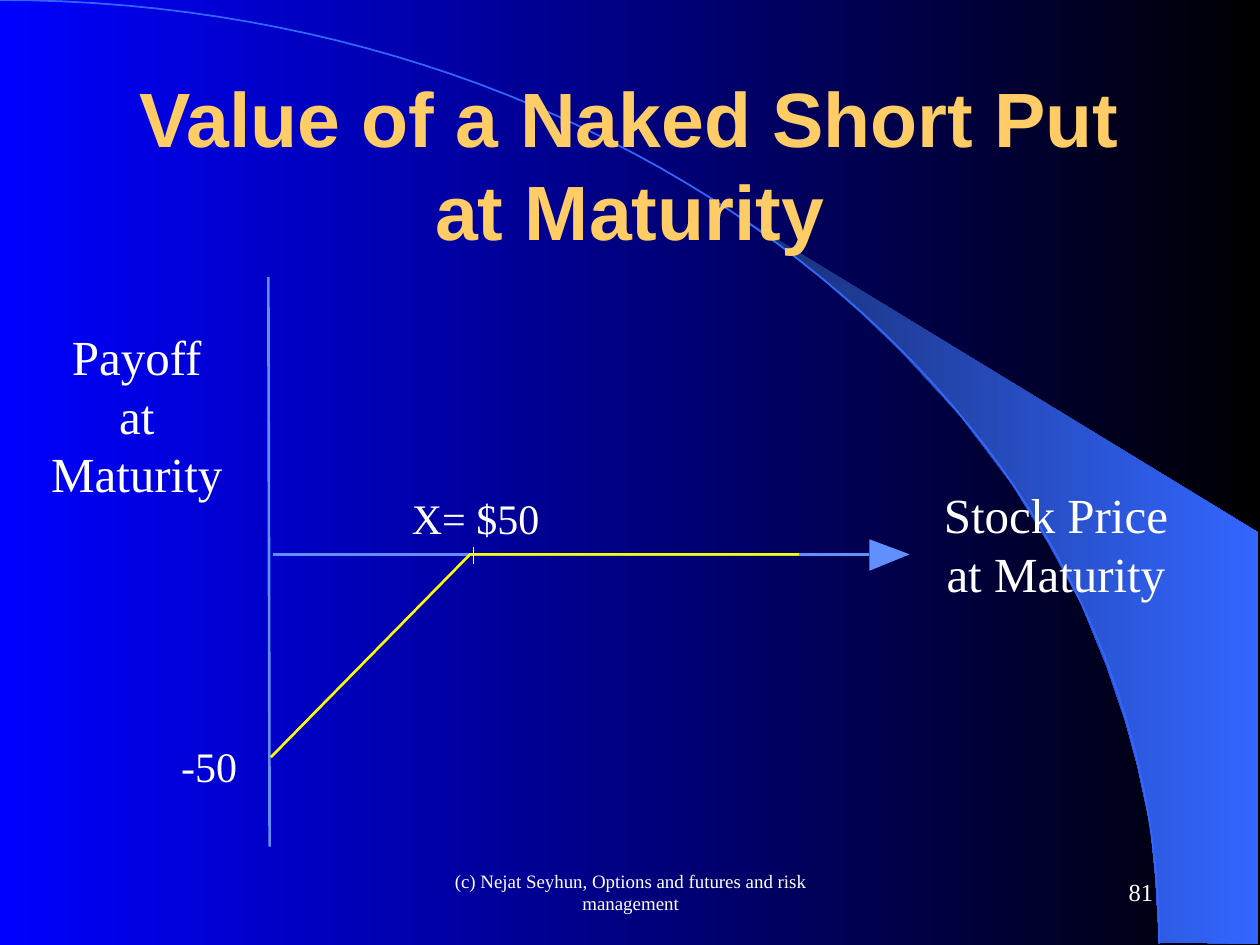
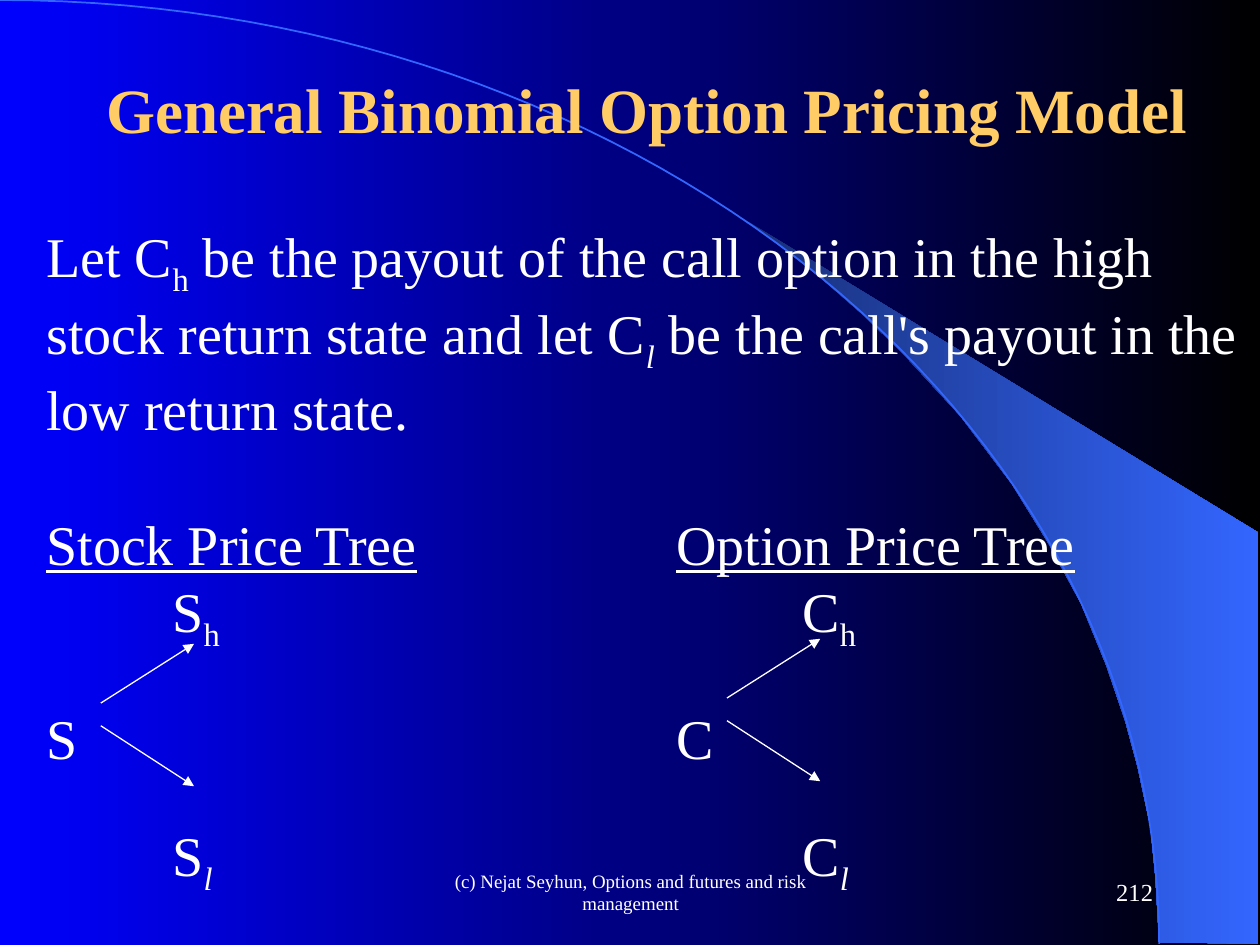
"""Build two option pricing slides: a short put payoff and a binomial tree."""
from lxml import etree
from pptx import Presentation
from pptx import util as u
from pptx.dml.color import RGBColor
from pptx.enum import shapes, text
from pptx.oxml import ns

WHITE, GOLD, YELLOW, AXIS, BAND = "FFFFFF", "FFCC66", "FAFD00", "618FFD", "3366FF"
SERIF, SANS = "Times New Roman", "Arial"
CENTER, RIGHT = text.PP_ALIGN.CENTER, text.PP_ALIGN.RIGHT
TOP, MIDDLE = text.MSO_ANCHOR.TOP, text.MSO_ANCHOR.MIDDLE
FOOTER = "(c) Nejat Seyhun, Options and futures and risk management"
rgb = RGBColor.from_string


def write(sp, box, content, size, color=WHITE, font=SERIF, bold=False,
          align=CENTER, anchor=TOP, wrap=True):
    """Place a text shape and fill it with evenly formatted paragraphs."""
    sp.left, sp.top, sp.width, sp.height = [u.Inches(v) for v in box]
    tf = sp.text_frame
    tf.text = content
    tf.word_wrap, tf.vertical_anchor = wrap, anchor
    tf.auto_size = text.MSO_AUTO_SIZE.NONE
    for p in tf.paragraphs:
        p.alignment = align
        for r in p.runs:
            r.font.size, r.font.name, r.font.bold = u.Pt(size), font, bold
            r.font.color.rgb = rgb(color)


def add_free(s, points, close=False):
    """Draw an outline through points given in inches."""
    pts = [(u.Inches(x), u.Inches(y)) for x, y in points]
    builder = s.shapes.build_freeform(*pts[0])
    builder.add_line_segments(pts[1:], close=close)
    sp = builder.convert_to_shape()
    sp.shadow.inherit = False
    sp.fill.background()
    sp.line.fill.background()
    return sp


prs = Presentation()
prs.slide_width, prs.slide_height = u.Inches(10), u.Inches(7.5)
layout = prs.slide_layouts[5]
payoff, tree = [prs.slides.add_slide(layout) for _ in range(2)]

swoosh = add_free(payoff, [
    (9.2, 7.48), (9.99, 7.49), (9.99, 4.23), (5.89, 1.73), (6.24, 1.99), (6.53, 2.22),
    (6.85, 2.5), (7.16, 2.8), (7.62, 3.3), (8.03, 3.84), (8.32, 4.31), (8.58, 4.79),
    (8.78, 5.28), (8.93, 5.72), (9.03, 6.09), (9.13, 6.56), (9.17, 6.96)], close=True)
steps = [i / 60 for i in range(61)]
arc = add_free(payoff, [
    (3 * 5.08 * t * (1 - t) ** 2 + 9.2 * (3 * t ** 2 * (1 - t) + t ** 3),
     3 * 3.35 * t ** 2 * (1 - t) + 7.49 * t ** 3) for t in steps])
arc.line.color.rgb, arc.line.width = rgb(BAND), u.Pt(1)
for fill, colors in ((layout.background.fill, ("0000FF", "000000")),
                     (swoosh.fill, ("182F76", BAND))):
    fill.gradient()
    fill.gradient_angle = 0
    for stop, color in zip(fill.gradient_stops, colors):
        stop.color.rgb = rgb(color)
for i, sp in enumerate((swoosh, arc)):
    layout.shapes._spTree.insert(2 + i, sp._element)

titles = (
    (payoff, "81", "Value of a Naked Short Put at Maturity",
     (0.75, 0.67, 8.5, 1.25), 44, SANS, MIDDLE),
    (tree, "212", "General Binomial Option Pricing Model",
     (0.27, 0.51, 9.73, 0.7), 36, SERIF, TOP))
for s, number, title, box, size, font, anchor in titles:
    write(s.shapes.title, box, title, size, GOLD, font, True, anchor=anchor)
    for content, box, size, align in ((FOOTER, (3.42, 6.83, 3.17, 0.5), 10.8, CENTER),
                                      (number, (7.17, 6.83, 2.08, 0.5), 14, RIGHT)):
        write(s.shapes.add_textbox(0, 0, 0, 0), box, content, size,
              align=align, anchor=MIDDLE)

lines = [(payoff, 2.17, 4.4, 6.9, 4.4, AXIS, 1.5),
         (payoff, 2.14, 6.72, 2.13, 2.2, AXIS, 1.5),
         (payoff, 3.76, 4.34, 3.76, 4.48, WHITE, 0.75)]
for x, y in ((0.8, 5.58), (5.77, 5.54)):
    lines += [(tree, x, y, x + 0.74, y - 0.47, WHITE, 0.75),
              (tree, x, y + 0.18, x + 0.74, y + 0.66, WHITE, 0.75)]
for s, x1, y1, x2, y2, color, width in lines:
    ends = [u.Inches(v) for v in (x1, y1, x2, y2)]
    line = s.shapes.add_connector(shapes.MSO_CONNECTOR.STRAIGHT, *ends)
    line.line.color.rgb, line.line.width = rgb(color), u.Pt(width)
    if s is tree:
        etree.SubElement(line.line._get_or_add_ln(), ns.qn("a:tailEnd"), type="triangle")
    etree.SubElement(line._element.spPr, ns.qn("a:effectLst"))

head = add_free(payoff, [(6.9, 4.28), (7.22, 4.4), (6.9, 4.53)], close=True)
head.fill.solid()
head.fill.fore_color.rgb = rgb(AXIS)
value = add_free(payoff, [(2.15, 6.01), (3.73, 4.4), (6.34, 4.4)])
value.line.color.rgb, value.line.width = rgb(YELLOW), u.Pt(1.5)

labels = (("X= $50", (3.17, 3.86, 1.21, 0.5), 24, False),
          ("Stock Price at Maturity", (7.27, 3.8, 2.22, 1.04), 28, True),
          ("Payoff\vat\nMaturity", (0.29, 2.54, 1.59, 1.5), 28, False),
          ("-50", (1.34, 5.83, 0.64, 0.5), 24, False))
for content, box, size, wrap in labels:
    write(payoff.shapes.add_textbox(0, 0, 0, 0), box, content, size, wrap=wrap)

SUB, SUB_ITALIC, UNDER = "sub", "sub italic", "under"
rows = (
    (0, (), (("Let C", ""), ("h", SUB),
             (" be the payout of the call option in the high stock return state and let C", ""),
             ("l", SUB_ITALIC), (" be the call's payout in the low return state.", ""))),
    (38.4, (5,), (("Stock Price Tree", UNDER), ("\t", ""), ("Option Price Tree", UNDER))),
    (0, (1, 6), (("\tS", ""), ("h", SUB), ("\tC", ""), ("h", SUB))),
    (28.8, (5,), (("S\tC", ""),)),
    (28.8, (1, 6), (("\tS", ""), ("l", SUB_ITALIC), ("\tC", ""), ("l", SUB_ITALIC))))
body = tree.shapes.add_textbox(0, 0, 0, 0)
write(body, (0.27, 1.71, 9.73, 5.46), "\n".join("" for _ in rows), 32, align=None)
for p, (gap, stops, runs) in zip(body.text_frame.paragraphs, rows):
    p.space_before = u.Pt(gap)
    if stops:
        tabs = etree.SubElement(p._p.get_or_add_pPr(), ns.qn("a:tabLst"))
        for stop in stops:
            etree.SubElement(tabs, ns.qn("a:tab"), pos=str(u.Inches(stop)), algn="l")
    for content, style in runs:
        r = p.add_run()
        r.text = content
        r.font.size, r.font.name, r.font.color.rgb = u.Pt(32), SERIF, rgb(WHITE)
        if style == UNDER:
            r.font.underline = True
        if style.startswith(SUB):
            r.font._element.set("baseline", "-25000")
            r.font.italic = style == SUB_ITALIC

prs.save("out.pptx")
